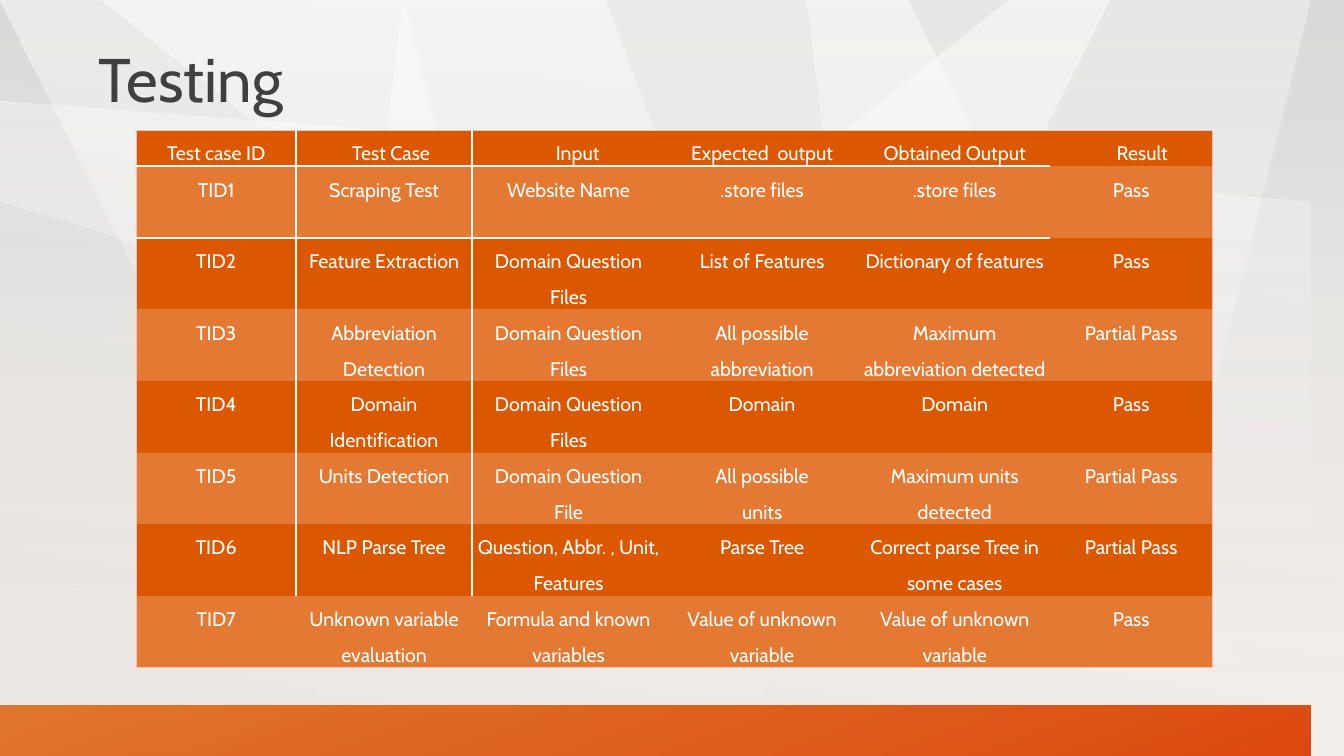
import pptx
import pptx.util
import pptx.dml.color
import pptx.enum.shapes
import pptx.enum.text
import pptx.oxml
import pptx.oxml.ns
from pptx.util import Inches

COLORS = {
    "white": "FFFFFF", "title": "404040", "mist": "D9D9D9", "cream": "FCF5EF",
    "shade": "BFBFBF", "orange": "DD5900", "red": "DC3C00",
    "row_dark": "DB5800", "row_light": "E37933", "edge": "EFC4BD",
}


def set_gradient(fill, properties, stops, angle):
    fill.gradient()
    fill.gradient_angle = 360 - angle
    for stop, (color, opacity) in zip(fill.gradient_stops, stops):
        stop.color.rgb = pptx.dml.color.RGBColor.from_string(COLORS[color])
    colors = properties.iter(pptx.oxml.ns.qn("a:srgbClr"))
    for element, (color, opacity) in zip(colors, stops):
        if opacity < 100:
            alpha = element.makeelement(pptx.oxml.ns.qn("a:alpha"), {"val": str(opacity * 1000)})
            element.append(alpha)


def format_text(paragraph, size, color, alignment, spacing):
    for name, value in {"alignment": alignment, "line_spacing": spacing}.items():
        setattr(paragraph, name, value)
    font_format = {"size": pptx.util.Pt(size), "name": "Cabin", "bold": False}
    for run in paragraph.runs:
        for name, value in font_format.items():
            setattr(run.font, name, value)
        run.font.color.rgb = pptx.dml.color.RGBColor.from_string(COLORS[color])


presentation = pptx.Presentation()
presentation.slide_width = Inches(13.33)
presentation.slide_height = Inches(7.5)
slide = presentation.slides.add_slide(presentation.slide_layouts[5])
background = slide.background.fill
background.solid()
background_properties = next(slide.element.iter(pptx.oxml.ns.qn("p:bgPr")))
set_gradient(background, background_properties, [("mist", 50), ("cream", 100)], 90)

rays = [
    ([(9.79, 0), (0, 7.5), (7.01, 7.5), (11.25, 0)], 50),
    ([(0, 0), (3.58, 0), (5.94, 7.5), (3.91, 7.5)], 50),
    ([(1.32, 0), (9.07, 0), (13.33, 7.5), (10.83, 7.5)], 50),
    ([(7.65, 0), (8.56, 7.5), (11.15, 7.5), (12.57, 0)], 40),
    ([(5.89, 0), (4.46, 0), (2.72, 7.5), (9.39, 7.5)], 50),
    ([(0, 0.87), (13.33, 1.86), (13.33, 6.1), (0, 2.32)], 40),
]
layers = [(points, [("white", opacity), ("white", 0)], 90) for points, opacity in rays]
layers.append((None, [("shade", 25), ("white", 0)], 280))
footer_band = [(0, 7.27), (13.33, 6.82), (13.33, 7.5), (0, 7.5)]
layers.append((footer_band, [("orange", 80), ("red", 95)], 70))

for points, stops, angle in layers:
    if points:
        builder = slide.shapes.build_freeform(*points[0], scale=Inches(1))
        builder.add_line_segments(points[1:], close=True)
        shape = builder.convert_to_shape()
    else:
        shape = slide.shapes.add_shape(
            pptx.enum.shapes.MSO_SHAPE.RECTANGLE, 0, 0, Inches(13.33), Inches(7.5))
    shape.shadow.inherit = False
    shape.line.fill.background()
    set_gradient(shape.fill, shape.element.spPr, stops, angle)

title = slide.shapes.title
title_format = {"left": Inches(0.88), "top": Inches(0.09), "width": Inches(11.5), "height": Inches(1.45)}
for name, value in title_format.items():
    setattr(title, name, value)
title.text_frame.text = "Testing"
title.text_frame.vertical_anchor = pptx.enum.text.MSO_ANCHOR.MIDDLE
format_text(title.text_frame.paragraphs[0], 44, "title", pptx.enum.text.PP_ALIGN.LEFT, 0.9)
title.element.getparent().append(title.element)

test_rows = [
    ["Test case ID", "Test Case", "Input", "Expected  output", "Obtained Output", "Result"],
    ["TID1", "Scraping Test", "Website Name", ".store files", ".store files", "Pass"],
    ["TID2", "Feature Extraction", "Domain Question Files", "List of Features",
     "Dictionary of features", "Pass"],
    ["TID3", "Abbreviation Detection", "Domain Question Files", "All possible abbreviation",
     "Maximum abbreviation detected", "Partial Pass"],
    ["TID4", "Domain Identification", "Domain Question Files", "Domain", "Domain", "Pass"],
    ["TID5", "Units Detection", "Domain Question File", "All possible\nunits",
     "Maximum units detected", "Partial Pass"],
    ["TID6", "NLP Parse Tree", "Question, Abbr. , Unit, Features", "Parse Tree",
     "Correct parse Tree in some cases", "Partial Pass"],
    ["TID7", "Unknown variable evaluation", "Formula and known variables",
     "Value of unknown variable", "Value of unknown variable", "Pass"],
]
column_widths = [1.59, 1.74, 1.92, 1.92, 1.9, 1.6]
row_heights = [0.36] + [0.71] * 7
header_indents = {1: 0.14, 2: 0.18, 5: 0.22}
last_row = len(test_rows) - 1
last_column = len(column_widths) - 1

frame = slide.shapes.add_table(
    len(test_rows), len(column_widths), Inches(1.35), Inches(1.29),
    Inches(sum(column_widths)), Inches(sum(row_heights)))
table = frame.table
table.first_row = False
table.horz_banding = False
plain_style = "{2D5ABB26-0587-4C30-8999-92F81FD0307C}"
next(frame.element.iter(pptx.oxml.ns.qn("a:tableStyleId"))).text = plain_style
for column, width in zip(table.columns, column_widths):
    column.width = Inches(width)
for row, height in zip(table.rows, row_heights):
    row.height = Inches(height)

for row_index, texts in enumerate(test_rows):
    side_margin = 0.07 if row_index in (5, 7) else 0.05
    for column_index, text in enumerate(texts):
        cell = table.cell(row_index, column_index)
        indent = header_indents.get(column_index, 0) if row_index == 0 else 0
        cell_format = {
            "text": text, "margin_left": Inches(side_margin + indent),
            "margin_right": Inches(side_margin), "margin_top": 0, "margin_bottom": 0,
            "vertical_anchor": pptx.enum.text.MSO_ANCHOR.TOP,
        }
        for name, value in cell_format.items():
            setattr(cell, name, value)
        for paragraph in cell.text_frame.paragraphs:
            format_text(paragraph, 14, "white", pptx.enum.text.PP_ALIGN.CENTER, 1.5)
        cell.fill.solid()
        row_color = COLORS["row_light" if row_index % 2 else "row_dark"]
        cell.fill.fore_color.rgb = pptx.dml.color.RGBColor.from_string(row_color)

        borders = {}
        if column_index == 0:
            borders["L"] = ("edge", 0.5)
            if row_index < last_row:
                borders["R"] = ("white", 1.5)
        if column_index == 1 and row_index < last_row:
            borders["L"] = ("white", 1.5)
        if column_index == last_column:
            borders["R"] = ("edge", 0.5)
        if row_index == 0:
            borders["T"] = ("edge", 0.5)
        if row_index == last_row:
            borders["B"] = ("edge", 0.5)
        if column_index < last_column and row_index < 2:
            borders["B" if row_index == 0 else "T"] = ("white", 1.5)
        cell_properties = cell._tc.get_or_add_tcPr()
        sides = [side for side in "LRTB" if side in borders]
        for position, side in enumerate(sides):
            color, width = borders[side]
            cell_properties.insert(position, pptx.oxml.parse_xml(
                f'<a:ln{side} {pptx.oxml.ns.nsdecls("a")} w="{pptx.util.Pt(width)}">'
                f'<a:solidFill><a:srgbClr val="{COLORS[color]}"/></a:solidFill></a:ln{side}>'))

presentation.save("out.pptx")
